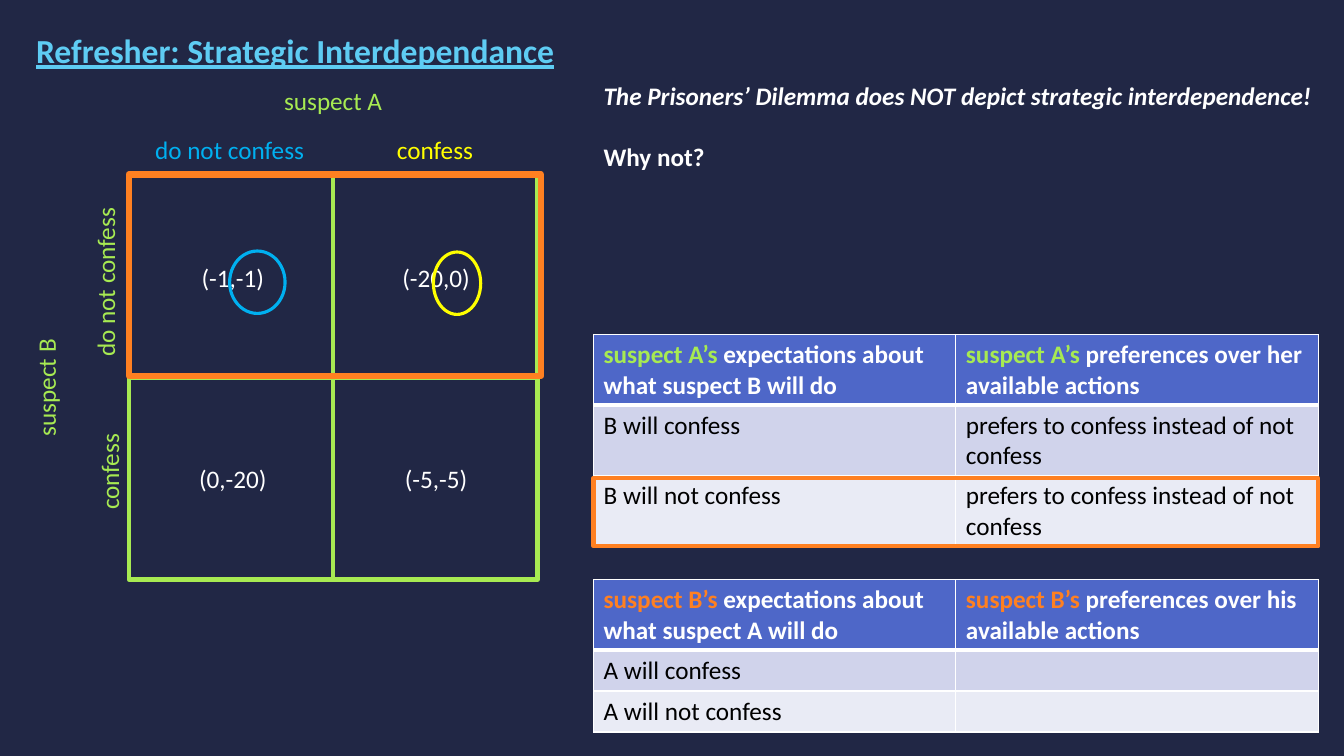
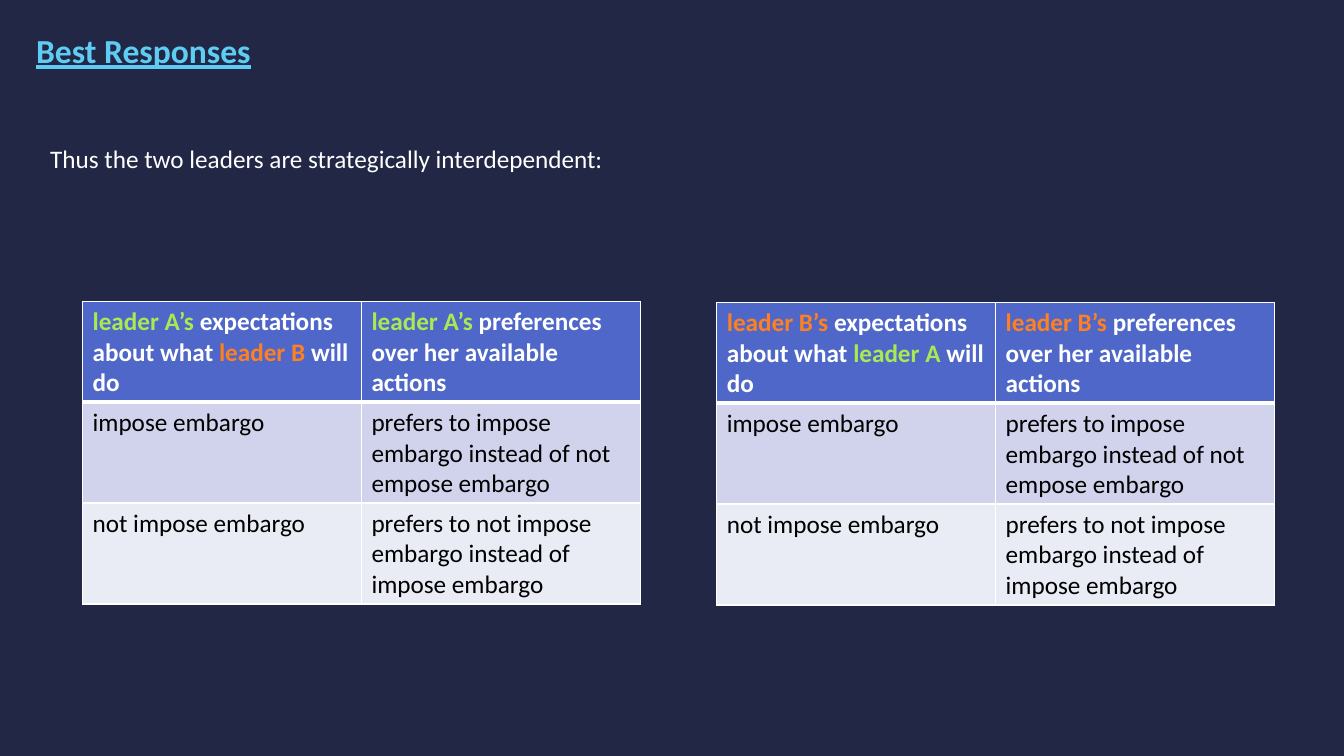
from lxml import etree
from pptx import Presentation
from pptx.dml.color import RGBColor
from pptx.enum.shapes import MSO_CONNECTOR, MSO_SHAPE
from pptx.enum.text import MSO_AUTO_SIZE, PP_ALIGN
from pptx.oxml.ns import qn
from pptx.util import Pt

LINE = MSO_CONNECTOR.STRAIGHT
RECT = MSO_SHAPE.RECTANGLE
OVAL = MSO_SHAPE.OVAL
GROW = MSO_AUTO_SIZE.SHAPE_TO_FIT_TEXT
LEFT, MID = PP_ALIGN.LEFT, PP_ALIGN.CENTER

FONT = "Calibri"
NAVY, WHITE, BLACK = "212745", "FFFFFF", "000000"
SKY, BLUE, YELLOW = "5ECCF3", "00B0F0", "FFFF00"
GREEN, ORANGE = "A7EA52", "FF8021"
FILLS = ["4E67C8", "D0D3EB", "E9EBF5"]  # header, first and second body row


def rgb(code):
    return RGBColor.from_string(code)


class Deck:
    def __init__(self):
        self.prs = Presentation()
        self.prs.slide_width, self.prs.slide_height = Pt(960), Pt(540)

    def start(self, title):
        self.slide = self.prs.slides.add_slide(self.prs.slide_layouts[6])
        back = self.slide.background.fill
        back.solid()
        back.fore_color.rgb = rgb(NAVY)
        frame = self.box(18.7, 18, 393, 36)
        self.style(frame.paragraphs[0], title, SKY, size=24, bold=True, under=True)

    def style(self, para, text, color, size=18, bold=False, under=False,
              slant=False, align=LEFT):
        """Text is a string, or a list of (text, colour) pairs."""
        para.alignment = align
        font = para.font
        font.name, font.size, font.bold = FONT, Pt(size), bold
        font.underline, font.italic = under, slant
        if isinstance(text, str):
            font.color.rgb = rgb(color)
            para.add_run().text = text
            return
        for part, tint in text:
            run = para.add_run()
            run.text = part
            run.font.color.rgb = rgb(tint)

    def box(self, x, y, w, h, turn=0):
        shape = self.slide.shapes.add_textbox(Pt(x), Pt(y), Pt(w), Pt(h))
        shape.rotation = turn
        frame = shape.text_frame
        frame.word_wrap = True
        frame.auto_size = GROW
        return frame

    def label(self, text, x, y, color, w=172, turn=0):
        """One centred line of text around the point x, y."""
        h = 29
        frame = self.box(x - w / 2, y - h / 2, w, h, turn)
        self.style(frame.paragraphs[0], text, color, align=MID)

    def ring(self, kind, x, y, w, h, color, width):
        shape = self.slide.shapes.add_shape(kind, Pt(x), Pt(y), Pt(w), Pt(h))
        shape.shadow.inherit = False
        shape.fill.background()
        shape.line.color.rgb = rgb(color)
        shape.line.width = Pt(width)
        return shape

    def split(self, shape, first, last, color, width):
        """A line between two side middles of a rectangle."""
        line = self.slide.shapes.add_connector(LINE, 0, 0, 0, 0)
        line.begin_connect(shape, first)
        line.end_connect(shape, last)
        line.line.color.rgb = rgb(color)
        line.line.width = Pt(width)
        etree.SubElement(line._element.spPr, qn("a:effectLst"))

    def border(self, cell, side, width):
        props = cell._tc.get_or_add_tcPr()
        edge = etree.SubElement(props, qn("a:ln" + side), w=str(Pt(width)))
        fill = etree.SubElement(edge, qn("a:solidFill"))
        etree.SubElement(fill, qn("a:srgbClr"), val=WHITE)

    def table(self, x, y, wide, highs, rows):
        """Two equal columns, wide points each, under a header row."""
        grid = self.slide.shapes.add_table(
            len(rows), 2, Pt(x), Pt(y), Pt(2 * wide), Pt(sum(highs))).table
        for col in grid.columns:
            col.width = Pt(wide)
        for i, row in enumerate(rows):
            grid.rows[i].height = Pt(highs[i])
            for j, text in enumerate(row):
                cell = grid.cell(i, j)
                for side in "LRTB":
                    thick = (i, side) in [(0, "B"), (1, "T")]
                    self.border(cell, side, 3 if thick else 1)
                cell.fill.solid()
                cell.fill.fore_color.rgb = rgb(FILLS[i])
                para = cell.text_frame.paragraphs[0]
                self.style(para, text, BLACK, bold=i == 0)


def suspects(deck):
    deck.start("Refresher: Strategic Interdependance")

    # Payoff matrix
    frame = deck.ring(RECT, 92, 126, 292, 288, GREEN, 3)
    deck.split(frame, 0, 2, GREEN, 3)
    deck.split(frame, 1, 3, GREEN, 3)
    deck.label("suspect A", 238, 72, GREEN)
    deck.label("do not confess", 164, 106.6, BLUE)
    deck.label("confess", 310.7, 106.6, YELLOW)
    deck.label("suspect B", 32.8, 277, GREEN, turn=270)
    deck.label("do not confess", 75.2, 201.6, GREEN, turn=270)
    deck.label("confess", 78, 337, GREEN, turn=270)
    pays = [["(-1,-1)", "(-20,0)"], ["(0,-20)", "(-5,-5)"]]
    for row, y in zip(pays, (198.4, 341.8)):
        for pay, x in zip(row, (166.3, 311.5)):
            deck.label(pay, x, y, WHITE, w=79)

    # Claim and question
    claim = deck.box(424, 54, 531, 73)
    deck.style(claim.paragraphs[0],
               "The Prisoners’ Dilemma does NOT depict strategic interdependence!",
               WHITE, bold=True, slant=True)
    ask = claim.add_paragraph()
    ask.space_before = Pt(22)
    deck.style(ask, "Why not?", WHITE, bold=True)

    # Expectations and preferences
    prefer = "prefers to confess instead of not confess"
    cases = [
        ("A", "B", "her", GREEN, 239, [50.4] * 3, prefer),
        ("B", "A", "his", ORANGE, 414, [50.4, 29.2, 29.2], ""),
    ]
    for who, other, whose, color, y, highs, wish in cases:
        name = (f"suspect {who}’s ", color)
        deck.table(424, y, 258.8, highs, [
            [[name, (f"expectations about what suspect {other} will do", WHITE)],
             [name, (f"preferences over {whose} available actions", WHITE)]],
            [f"{other} will confess", wish],
            [f"{other} will not confess", wish],
        ])

    # Highlights
    deck.ring(RECT, 424, 341.3, 517.6, 49, ORANGE, 3)
    deck.ring(RECT, 92, 124.6, 294.5, 144, ORANGE, 4.5)
    deck.ring(OVAL, 164, 179.3, 39.6, 44.6, BLUE, 2.25)
    deck.ring(OVAL, 309.6, 180, 33.8, 44.6, YELLOW, 2.25)


def leaders(deck):
    deck.start("Best Responses")
    intro = deck.box(28.8, 98.6, 598, 29)
    deck.style(intro.paragraphs[0],
               "Thus the two leaders are strategically interdependent:", WHITE)

    # One table for each leader
    cases = [("A", GREEN, "B", ORANGE, 59, 215.3),
             ("B", ORANGE, "A", GREEN, 512, 216)]
    for who, color, other, tint, x, y in cases:
        name = (f"leader {who}’s ", color)
        deck.table(x, y, 199.2, [72] * 3, [
            [[name, ("expectations about what ", WHITE),
              (f"leader {other}", tint), (" will do", WHITE)],
             [name, ("preferences over her available actions", WHITE)]],
            ["impose embargo",
             "prefers to impose embargo instead of not empose embargo"],
            ["not impose embargo",
             "prefers to not impose embargo instead of impose embargo"],
        ])


def main():
    deck = Deck()
    suspects(deck)
    leaders(deck)
    deck.prs.save("out.pptx")


if __name__ == "__main__":
    main()
